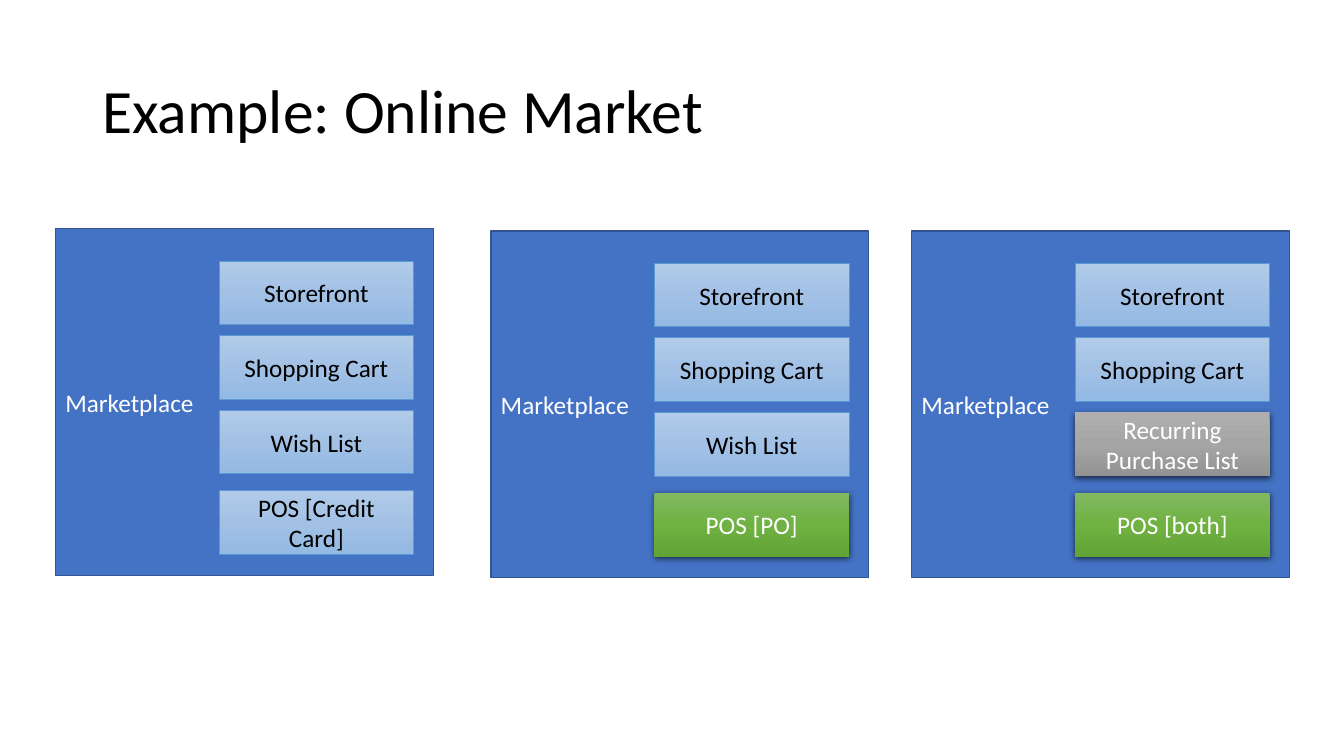
import lxml.etree
import pptx
import pptx.dml.color
import pptx.enum.shapes
import pptx.enum.text
import pptx.oxml.ns
import pptx.util

Pt = pptx.util.Pt
RGBColor = pptx.dml.color.RGBColor
qn = pptx.oxml.ns.qn
MIDDLE = pptx.enum.text.MSO_ANCHOR.MIDDLE
LEFT = pptx.enum.text.PP_ALIGN.LEFT
CENTER = pptx.enum.text.PP_ALIGN.CENTER

BLACK = RGBColor(0x00, 0x00, 0x00)
WHITE = RGBColor(0xFF, 0xFF, 0xFF)
PANEL_FILL = RGBColor(0x44, 0x72, 0xC4)
PANEL_LINE = RGBColor(0x32, 0x54, 0x91)
SHARED_LINE = RGBColor(0x5B, 0x9B, 0xD5)
BLUES = (RGBColor(0xB1, 0xCB, 0xE9), RGBColor(0xA3, 0xC1, 0xE5), RGBColor(0x93, 0xB9, 0xE4))
GREENS = (RGBColor(0x81, 0xB8, 0x61), RGBColor(0x6F, 0xB2, 0x42), RGBColor(0x62, 0xA3, 0x36))
GRAYS = (RGBColor(0xAF, 0xAF, 0xAF), RGBColor(0xA5, 0xA5, 0xA5), RGBColor(0x93, 0x93, 0x93))

TITLE = "Example: Online Market"
PANEL_LABEL = "Marketplace"
COMMON = [("Storefront", BLUES), ("Shopping Cart", BLUES)]
WISH_LIST = ("Wish List", BLUES)
MARKETS = [
    (39.6, 163.4, COMMON + [WISH_LIST, ("POS [Credit Card]", BLUES)]),
    (350.6, 164.9, COMMON + [WISH_LIST, ("POS [PO]", GREENS)]),
    (651.1, 164.9, COMMON + [("Recurring Purchase List", GRAYS), ("POS [both]", GREENS)]),
]
PANEL_SIZE = (270, 247.7)
COMPONENT_SIZE = (139, 45.5)
COMPONENT_INDENT = 116.9
COMPONENT_OFFSETS = (23, 76.3, 129.6, 187.2)


def write_text(shape, text, size, color, alignment):
    frame = shape.text_frame
    frame.word_wrap = True
    frame.vertical_anchor = MIDDLE
    paragraph = frame.paragraphs[0]
    paragraph.alignment = alignment
    run = paragraph.add_run()
    run.text = text
    run.font.name = "Calibri"
    run.font.size = Pt(size)
    run.font.color.rgb = color
    return paragraph


def add_rectangle(slide, left, top, size, text, color, alignment):
    shape = slide.shapes.add_shape(
        pptx.enum.shapes.MSO_SHAPE.RECTANGLE, Pt(left), Pt(top), Pt(size[0]), Pt(size[1]))
    shape.shadow.inherit = False
    write_text(shape, text, 18, color, alignment)
    return shape


def set_line(shape, color, width):
    shape.line.color.rgb = color
    shape.line.width = Pt(width)


def add_color(parent, color):
    return lxml.etree.SubElement(parent, qn("a:srgbClr"), val=str(color))


def set_gradient(shape, colors):
    shape.fill.gradient()
    shape.fill.gradient_angle = 270
    stops = shape.element.spPr.find(qn("a:gradFill")).find(qn("a:gsLst"))
    for stop in list(stops):
        stops.remove(stop)
    for position, color in zip((0, 50000, 100000), colors):
        add_color(lxml.etree.SubElement(stops, qn("a:gs"), pos=str(position)), color)


def add_shadow(shape):
    effects = shape.element.spPr.find(qn("a:effectLst"))
    shadow = lxml.etree.SubElement(
        effects, qn("a:outerShdw"), blurRad=str(Pt(4.5)), dist=str(Pt(1.5)),
        dir="5400000", algn="ctr", rotWithShape="0")
    lxml.etree.SubElement(add_color(shadow, BLACK), qn("a:alpha"), val="63000")


def add_component(slide, left, top, text, colors):
    shared = colors is BLUES
    shape = add_rectangle(
        slide, left, top, COMPONENT_SIZE, text, BLACK if shared else WHITE, CENTER)
    set_gradient(shape, colors)
    if shared:
        set_line(shape, SHARED_LINE, 0.5)
    else:
        shape.line.fill.background()
        add_shadow(shape)


def add_market(slide, left, top, components):
    panel = add_rectangle(slide, left, top, PANEL_SIZE, PANEL_LABEL, WHITE, LEFT)
    panel.fill.solid()
    panel.fill.fore_color.rgb = PANEL_FILL
    set_line(panel, PANEL_LINE, 1)
    for offset, (text, colors) in zip(COMPONENT_OFFSETS, components):
        add_component(slide, left + COMPONENT_INDENT, top + offset, text, colors)


presentation = pptx.Presentation()
presentation.slide_width = Pt(960)
presentation.slide_height = Pt(540)
slide = presentation.slides.add_slide(presentation.slide_layouts[6])

title = slide.shapes.add_textbox(Pt(66), Pt(28.8), Pt(828), Pt(104.4))
write_text(title, TITLE, 44, BLACK, LEFT).line_spacing = 0.9

for left, top, components in MARKETS:
    add_market(slide, left, top, components)

presentation.save("out.pptx")
